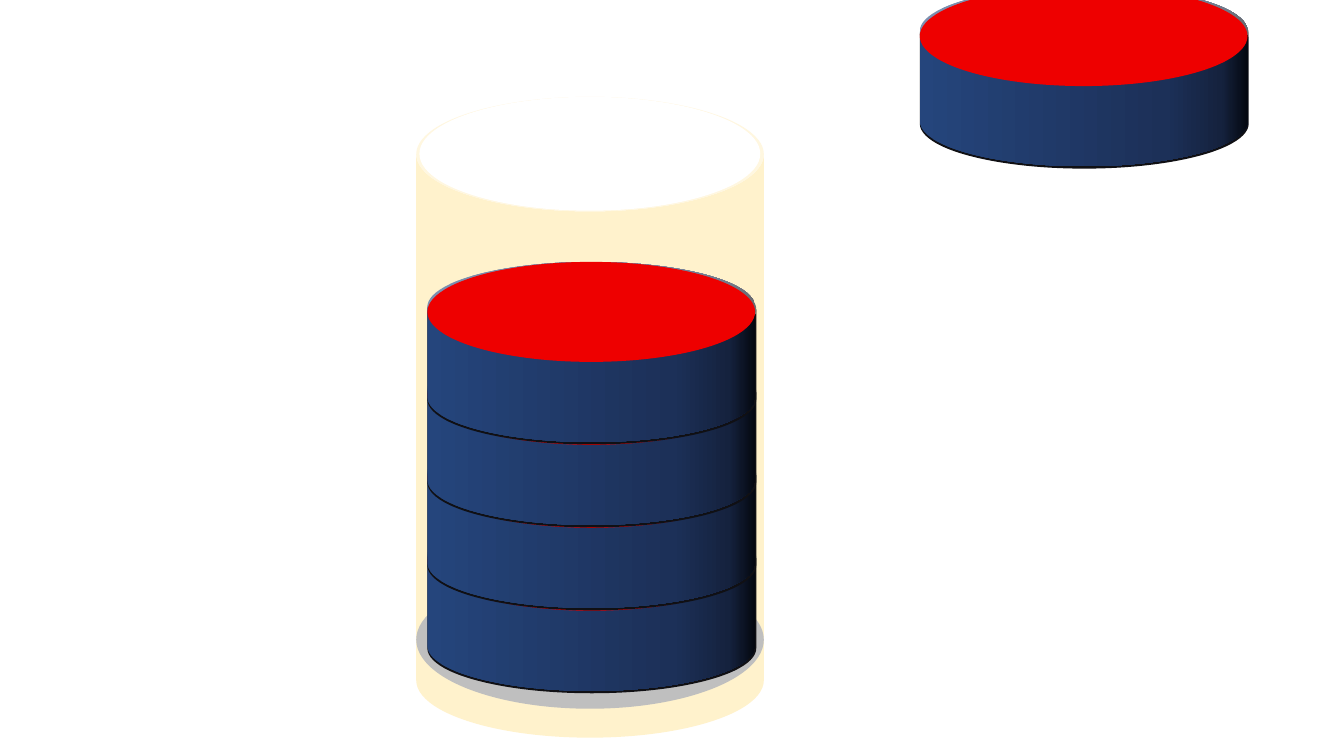
from copy import deepcopy
from dataclasses import dataclass

from pptx import Presentation
from pptx.dml.color import RGBColor
from pptx.enum.shapes import MSO_SHAPE as Preset
from pptx.oxml.ns import qn
from pptx.shapes.autoshape import Shape
from pptx.util import Cm

CREAM = RGBColor(0xFF, 0xF2, 0xCC)
GRAY = RGBColor(0xBF, 0xBF, 0xBF)
WHITE = RGBColor(0xFF, 0xFF, 0xFF)
RED = RGBColor(0xEE, 0x00, 0x00)
BLACK = RGBColor(0x10, 0x10, 0x14)
BLUE = RGBColor(0x25, 0x45, 0x7C)
DEEP_BLUE = RGBColor(0x1C, 0x30, 0x58)
NAVY = RGBColor(0x15, 0x22, 0x3E)
NIGHT = RGBColor(0x04, 0x08, 0x10)
SIDE_STOPS = ((0, BLUE), (0.75, DEEP_BLUE), (0.92, NAVY), (1, NIGHT))

DISC_WIDTH, DISC_HEIGHT, CAP_HEIGHT = 8.26, 4.54, 2.52
RIM = 0.06
STACK_LEFT, STACK_TOP, STACK_STEP, STACK_COUNT = 10.77, 6.6, 2.09, 4


@dataclass(frozen=True)
class Part:
    preset: Preset
    left: float
    top: float
    width: float
    height: float
    color: RGBColor
    bend: float | None = None


@dataclass(frozen=True)
class Disc:
    left: float
    top: float


def draw_part(shapes, part: Part) -> Shape:
    box = shapes.add_shape(part.preset, Cm(part.left), Cm(part.top),
                           Cm(part.width), Cm(part.height))
    box.shadow.inherit = False
    box.fill.solid()
    box.fill.fore_color.rgb = part.color
    box.line.fill.background()
    if part.bend is not None:
        box.adjustments[0] = part.bend
    return box


def shade_side(side: Shape) -> None:
    side.fill.gradient()
    side.fill.gradient_angle = 0
    stop_list = side._element.spPr.find(qn("a:gradFill")).find(qn("a:gsLst"))
    for _ in range(len(SIDE_STOPS) - len(stop_list)):
        stop_list.append(deepcopy(stop_list[0]))
    for stop, (position, color) in zip(side.fill.gradient_stops, SIDE_STOPS):
        stop.color.rgb = color
        stop.position = position


def draw_disc(shapes, disc: Disc) -> None:
    bend = CAP_HEIGHT / DISC_HEIGHT
    draw_part(shapes, Part(Preset.CAN, disc.left, disc.top + RIM,
                           DISC_WIDTH + RIM / 2, DISC_HEIGHT, BLACK, bend))
    side = draw_part(shapes, Part(Preset.CAN, disc.left, disc.top,
                                  DISC_WIDTH, DISC_HEIGHT, BLUE, bend))
    shade_side(side)
    draw_part(shapes, Part(Preset.OVAL, disc.left, disc.top,
                           DISC_WIDTH, CAP_HEIGHT, RED))


CONTAINER = (
    Part(Preset.CAN, 10.49, 2.44, 8.76, 16.15, CREAM, 0.33),
    Part(Preset.OVAL, 10.49, 14.38, 8.76, 3.48, GRAY),
    Part(Preset.OVAL, 10.57, 2.44, 8.59, 2.87, WHITE),
)
STACK = tuple(Disc(STACK_LEFT, STACK_TOP + STACK_STEP * level)
              for level in reversed(range(STACK_COUNT)))
LOOSE_DISC = Disc(23.18, -0.35)

deck = Presentation()
for name, value in {"slide_width": Cm(33.87), "slide_height": Cm(19.05)}.items():
    setattr(deck, name, value)
page = deck.slides.add_slide(deck.slide_layouts[6])

container = page.shapes.add_group_shape()
for part in CONTAINER:
    draw_part(container.shapes, part)
for disc in (*STACK, LOOSE_DISC):
    draw_disc(page.shapes, disc)

deck.save("out.pptx")
